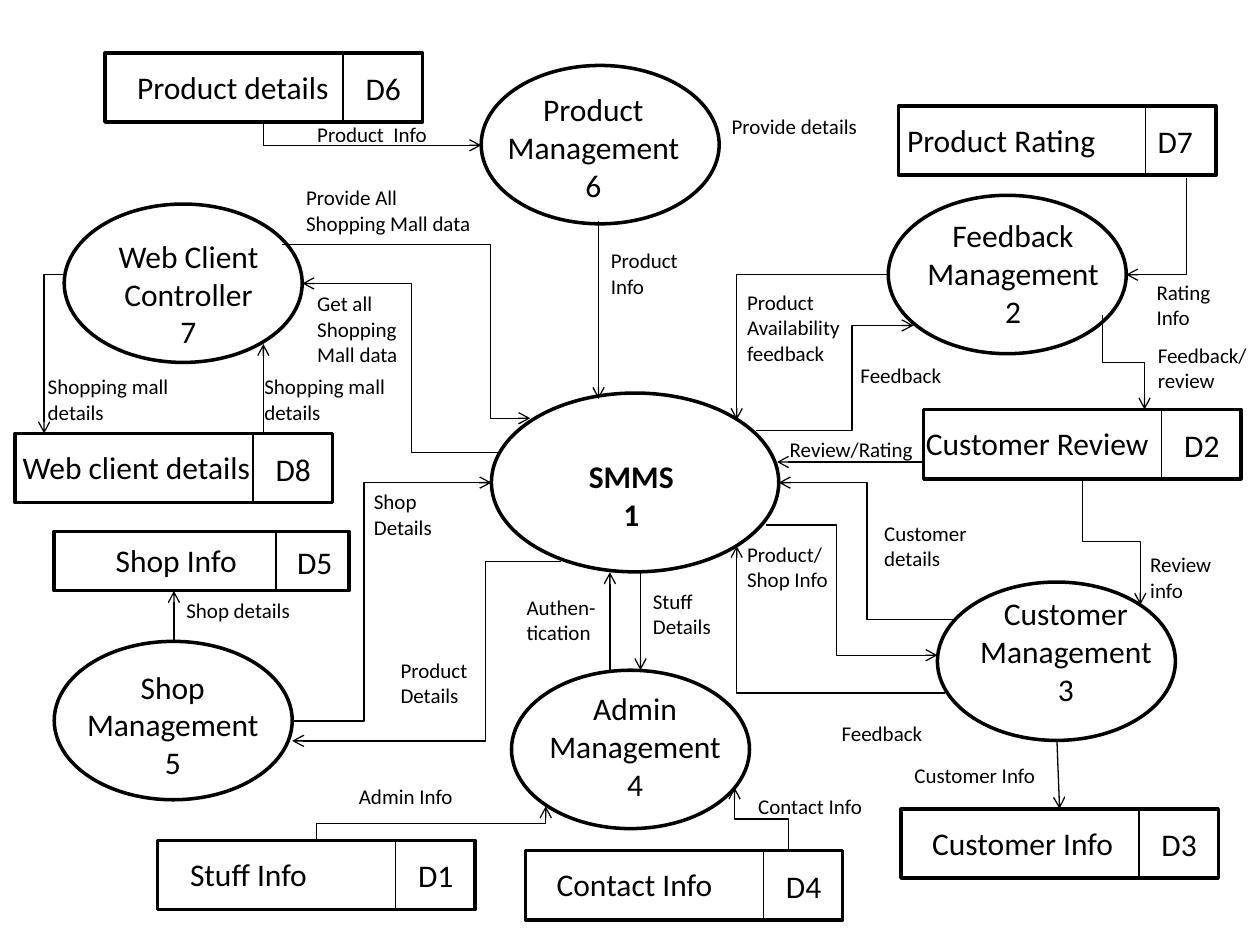
from lxml import etree
from pptx import Presentation
from pptx.dml.color import RGBColor as RGB
from pptx.enum.shapes import MSO_CONNECTOR as LINK, MSO_SHAPE as SHAPE
from pptx.enum.text import PP_ALIGN as ALIGN
from pptx.oxml.ns import qn
from pptx.util import Pt

INK = {"line": "000000", "text": "000000"}

deck = Presentation()
deck.slide_width, deck.slide_height = Pt(720), Pt(540)
slide = deck.slides.add_slide(deck.slide_layouts[6])


def add_text(host, x, y, wide, words, size, align=ALIGN.LEFT, bold=False, wrap=False):
    rows = words.split("\n")
    box = host.add_textbox(Pt(x), Pt(y), Pt(wide), Pt(size * 1.2 * len(rows) + 7.2))
    frame = box.text_frame
    frame.text = words
    frame.word_wrap = wrap
    for para in frame.paragraphs:
        para.alignment = align
        for run in para.runs:
            run.font.name, run.font.size, run.font.bold = "Calibri", Pt(size), bold
            run.font.color.rgb = RGB.from_string(INK["text"])


def add_line(host, x1, y1, x2, y2, mode="straight"):
    if mode == "down":
        mid_x, mid_y = (x1 + x2) / 2, (y1 + y2) / 2
        dx, dy = (x2 - x1) / 2, (y2 - y1) / 2
        x1, y1, x2, y2 = mid_x - dy, mid_y + dx, mid_x + dy, mid_y - dx
    kind = LINK.STRAIGHT if mode == "straight" else LINK.ELBOW
    link = host.add_connector(kind, Pt(x1), Pt(y1), Pt(x2), Pt(y2))
    link.line.width = Pt(0.75)
    link.line.color.rgb = RGB.from_string(INK["line"])
    props = link._element.spPr
    etree.SubElement(props, qn("a:effectLst"))
    if mode == "down":
        props.find(qn("a:xfrm")).set("rot", "5400000")
    return props


size = (136, 90.5)
nodes = [
    (280.8, 224.6, 164.2, 102.2, 329, 257.8, 63.4, "SMMS\n1"),
    (31, 366.5, *size, 41.8, 378, 113.8, "Shop\nManagement\n5"),
    (292.3, 383, *size, 306, 390.2, 113.8, "Admin\nManagement\n4"),
    (535.7, 332.6, *size, 552.2, 336.2, 113.8, "Customer\nManagement\n3"),
    (36.7, 116.6, *size, 59.8, 131.8, 95.8, "Web Client\nController\n7"),
    (507.6, 111.6, *size, 522, 120.2, 113.8, "Feedback\nManagement\n2"),
    (275, 37.4, *size, 282.2, 48.2, 113.8, "Product\nManagement\n6"),
]
stores = [
    (60, 30.2, 181.4, 39.6, 136, 5.8, 71.3, 125.3, "Product details", "D6"),
    (513.4, 60.5, 181.4, 39.6, 141, 0, 511.2, 164.2, "Product Rating", "D7"),
    (527.8, 234, 181.4, 39.6, 136, 5.8, 522, 154.8, "Customer Review", "D2"),
    (514.8, 462.2, 181.4, 39.6, 136, 5.8, 525.6, 118.8, "Customer Info", "D3"),
    (31, 303.8, 168.5, 33.8, 126.7, 5, 59, 85, "Shop Info", "D5"),
    (8.6, 247.7, 181.4, 39.6, 136, 5.8, 5.8, 203.8, "Web client details", "D8"),
    (300.2, 486, 181.4, 39.6, 136, 5.8, 311, 104.4, "Contact Info", "D4"),
    (90, 480.2, 181.4, 39.6, 136, 5.8, 101.5, 82, "Stuff Info", "D1"),
]
flows = [
    (630, 180, 654, 234, "down", 0.5),
    (678, 102, 643.5, 157, "down", None),
    (150.5, 70, 275, 83, "down", None),
    (36.7, 157, 25.2, 247.7, "down", 0),
    (286.5, 258.5, 172.8, 162, "side", 0.45),
    (540, 396, 421, 312, "side", None),
    (348.5, 383, 348.5, 327, "straight", None),
    (366, 327, 366, 383, "straight", None),
    (342, 126, 342, 228, "straight", None),
    (320.4, 321, 167, 423.4, "side", 0.28),
    (167, 412, 280.8, 275.8, "side", 0.36),
    (161.3, 139.7, 303, 239, "side", 0.84),
    (150.5, 247.7, 150.5, 196.6, "straight", None),
    (545.8, 354, 445, 275.8, "side", 0.5),
    (432, 246, 522, 186, "side", 0.61),
    (507.6, 157, 421, 240, "side", None),
    (99.4, 366.5, 99.4, 337.7, "straight", None),
    (618.5, 273.6, 651.6, 345.6, "down", 0.5),
    (528, 264, 444, 264, "straight", None),
    (437.8, 300, 535.7, 374.4, "side", 0.41),
    (604, 423.4, 605.5, 462.2, "straight", None),
    (180.7, 480.2, 311.8, 460.8, "down", 0.5),
    (450.7, 486, 419.8, 450, "down", 0.5),
]
labels = [
    (411, 61.2, 87, "Provide details"),
    (174.2, 66.2, 77.8, "Product  Info"),
    (293.8, 336.2, 54, "Authen-\ntication"),
    (366, 332.6, 48.2, "Stuff\nDetails"),
    (515.5, 432, 84.2, "Customer Info"),
    (99.4, 337.7, 74.2, "Shop details"),
    (206.6, 275.8, 48.2, "Shop\nDetails"),
    (221.8, 372.2, 53.3, "Product\nDetails"),
    (419.8, 162, 67.7, "Product\nAvailability\nfeedback"),
    (444.2, 246.2, 85.7, "Review/Rating"),
    (498.2, 293.8, 64.8, "Customer\ndetails"),
    (419.8, 306, 61.2, "Product/\nShop Info"),
    (342, 138.2, 56.2, "Product\nInfo"),
    (653.8, 156.2, 48.2, "Rating\nInfo"),
    (167.8, 102.2, 109.4, "Provide All\nShopping Mall data"),
    (174.2, 162.7, 63.4, "Get all\nShopping\nMall data"),
    (20.2, 210.2, 84.2, "Shopping mall\ndetails"),
    (144, 210.2, 84.2, "Shopping mall\ndetails"),
    (650.2, 311.8, 50, "Review\ninfo"),
    (654.5, 192.2, 65.5, "Feedback/\nreview"),
    (484.6, 203.8, 61.2, "Feedback"),
    (198, 444.2, 68.4, "Admin Info"),
    (473.8, 408.2, 61.2, "Feedback"),
    (426.2, 450, 74.2, "Contact Info"),
]

outlines = []
for x, y, wide, high, left, top, span, words in nodes:
    outlines.append(slide.shapes.add_shape(SHAPE.OVAL, Pt(x), Pt(y), Pt(wide), Pt(high)))
    add_text(slide.shapes, left, top, span, words, 18, ALIGN.CENTER, words.startswith("SMMS"))

for x, y, wide, high, split, gap, left, span, name, code in stores:
    group = slide.shapes.add_group_shape().shapes
    outlines.append(group.add_shape(SHAPE.RECTANGLE, Pt(x), Pt(y), Pt(wide), Pt(high)))
    add_line(group, x + split, y, x + split, y + high)
    top = y + high / 2 - 14.8
    add_text(group, left, top, span, name, 18, wrap=span > 150)
    add_text(group, x + split + gap, top + 0.7, 35.3, code, 18)

for shape in outlines:
    shape.shadow.inherit = False
    shape.fill.background()
    shape.line.width = Pt(2)
    shape.line.color.rgb = RGB.from_string(INK["line"])

for x1, y1, x2, y2, mode, bend in flows:
    props = add_line(slide.shapes, x1, y1, x2, y2, mode)
    etree.SubElement(props.find(qn("a:ln")), qn("a:tailEnd"), type="arrow")
    form = props.find(qn("a:prstGeom"))
    if bend is not None:
        guide = etree.SubElement(form.find(qn("a:avLst")), qn("a:gd"), name="adj1")
        guide.set("fmla", f"val {round(bend * 100000)}")
    elif mode != "straight":
        form.set("prst", "bentConnector2")

for x, y, wide, words in labels:
    add_text(slide.shapes, x, y, wide, words, 12)

deck.save("out.pptx")
